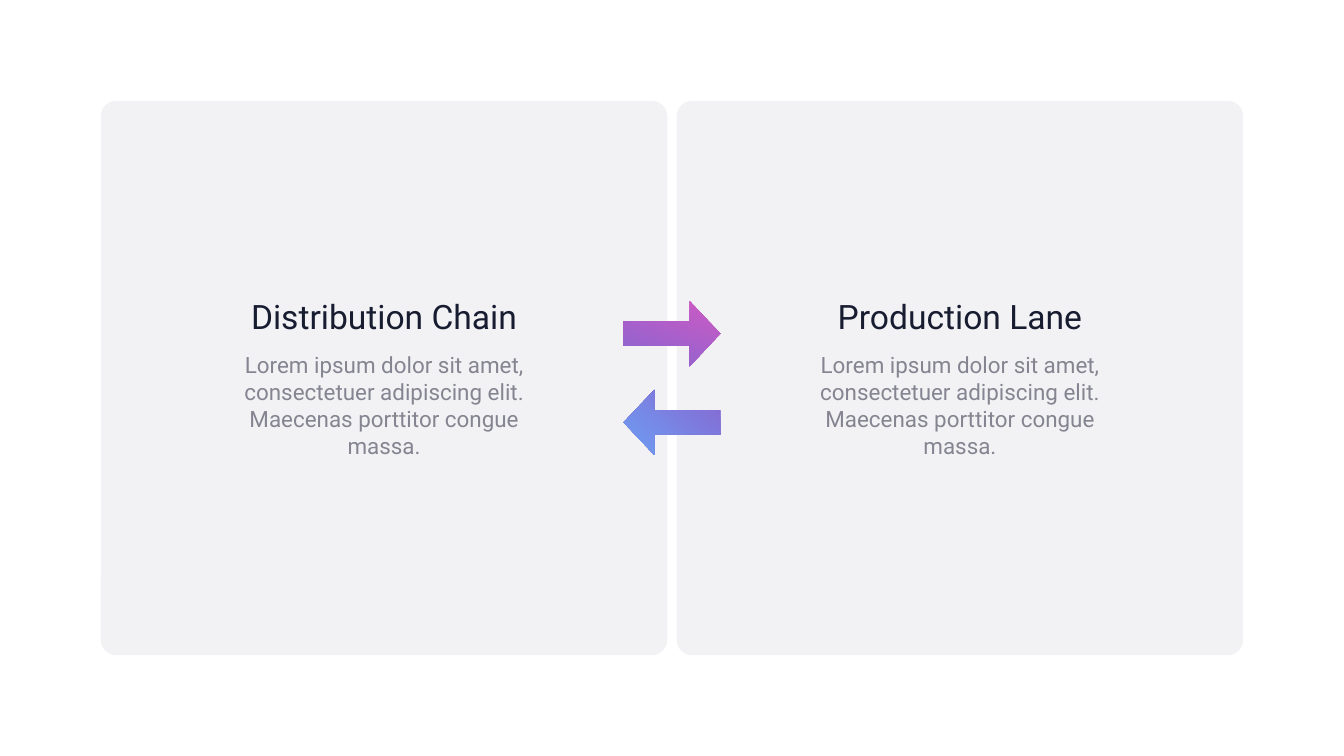
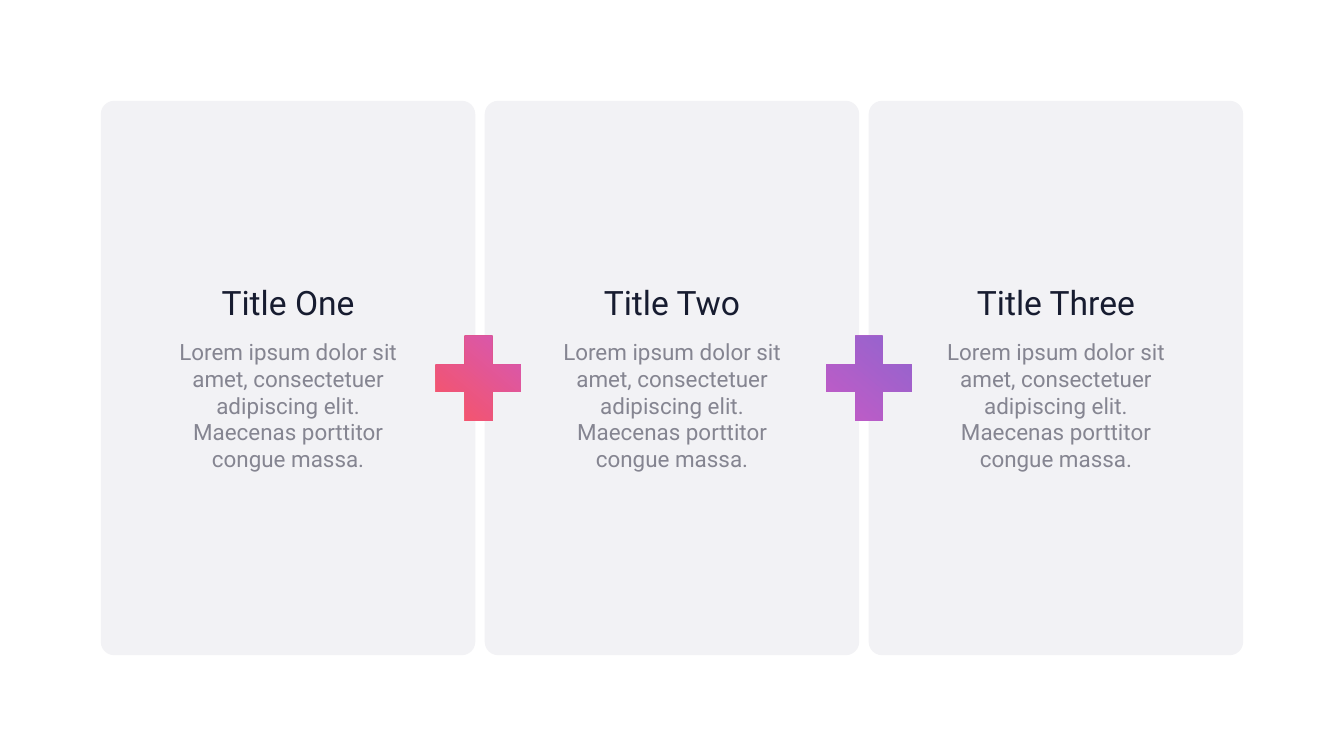
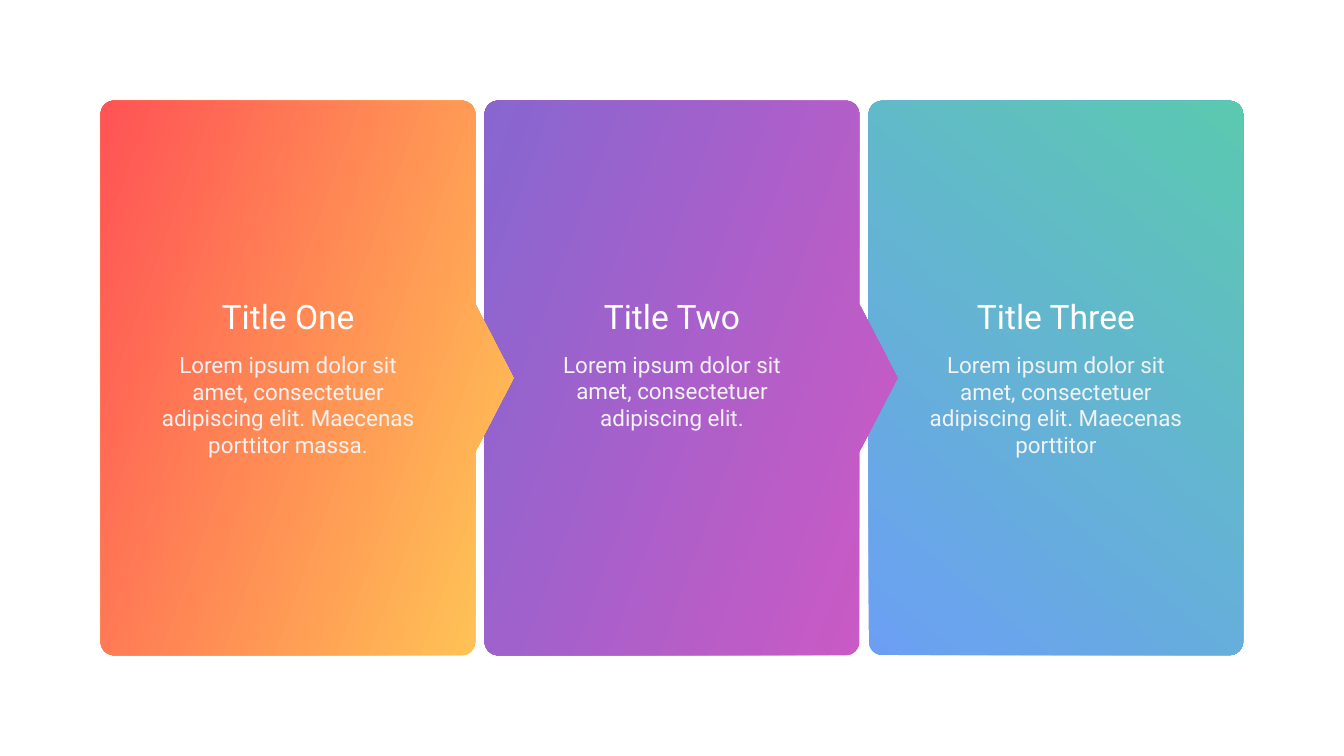
from dataclasses import dataclass
from math import cos, radians, sin

from pptx import Presentation
from pptx.dml.color import RGBColor
from pptx.enum.shapes import MSO_SHAPE
from pptx.enum.text import MSO_AUTO_SIZE, PP_ALIGN
from pptx.util import Inches, Pt

ROUND_RECT = MSO_SHAPE.ROUNDED_RECTANGLE
RIGHT_ARROW = MSO_SHAPE.RIGHT_ARROW
PLUS = MSO_SHAPE.MATH_PLUS
CENTER = PP_ALIGN.CENTER
GROW = MSO_AUTO_SIZE.SHAPE_TO_FIT_TEXT

MARGIN, GAP = 1.5, 0.14
SLIDE_W, SLIDE_H = 20, 11.25
CARD_H = SLIDE_H - 2 * MARGIN
MIDDLE = SLIDE_H / 2
RADIUS = 0.2
LOREM = "Lorem ipsum dolor sit amet, consectetuer adipiscing elit."
LOREM_LONG = LOREM + " Maecenas porttitor congue massa."
TITLES = ("Title One", "Title Two", "Title Three")


@dataclass(frozen=True)
class Theme:
    """Colours, font and type sizes."""
    font: str = "Roboto"
    title_size: int = 36
    body_size: int = 24
    card: str = "F2F2F5"
    ink: str = "171C30"
    grey: str = "858591"
    white: str = "FFFFFF"
    pale: str = "F2F2F2"
    red: str = "FF5355"
    yellow: str = "FFC955"
    pink: str = "CE59C4"
    violet: str = "8766D0"
    blue: str = "6C9FF4"
    green: str = "5BC9B0"


def card_columns(count):
    """Return the left edge and width of each card in a row."""
    width = (SLIDE_W - 2 * MARGIN - (count - 1) * GAP) / count
    return [(MARGIN + i * (width + GAP), width) for i in range(count)]


class Deck:
    """Draws elements on the current slide in one style."""

    def __init__(self, theme):
        """Start an empty presentation."""
        self.theme = theme
        self.prs = Presentation()
        self.prs.slide_width = Inches(SLIDE_W)
        self.prs.slide_height = Inches(SLIDE_H)
        self.s = None

    def slide(self):
        """Add a blank slide and make it current."""
        self.s = self.prs.slides.add_slide(self.prs.slide_layouts[6])

    def paint(self, sp, fill):
        """Fill with a colour, or with (start, end, clockwise angle)."""
        sp.shadow.inherit = False
        sp.line.fill.background()
        if isinstance(fill, str):
            sp.fill.solid()
            sp.fill.fore_color.rgb = RGBColor.from_string(fill)
            return
        start, end, angle = fill
        sp.fill.gradient()
        sp.fill.gradient_angle = 360 - angle
        for stop, color in zip(sp.fill.gradient_stops, (start, end)):
            stop.color.rgb = RGBColor.from_string(color)

    def shape(self, kind, x, y, w, h, fill, adjustments=(), rotation=0):
        """Add a filled preset shape."""
        sp = self.s.shapes.add_shape(kind, Inches(x), Inches(y), Inches(w), Inches(h))
        for i, value in enumerate(adjustments):
            sp.adjustments[i] = value
        sp.rotation = rotation
        self.paint(sp, fill)

    def card(self, x, w, fill, corner=0.036):
        """Add a full-height rounded card."""
        self.shape(ROUND_RECT, x, MARGIN, w, CARD_H, fill, (corner,))

    def pointer_card(self, x, w, fill):
        """Add a rounded card with a pointer on its right side."""
        right, bottom = x + w, MARGIN + CARD_H
        near, far = x + RADIUS, right - RADIUS
        top, low = MARGIN + RADIUS, bottom - RADIUS

        def corner(cx, cy, start):
            """Return the points of a quarter circle."""
            angles = [radians(start + 9 * i) for i in range(11)]
            return [(cx + RADIUS * cos(a), cy + RADIUS * sin(a)) for a in angles]

        pointer = [(right, MIDDLE - 1.1), (right + 0.57, MIDDLE), (right, MIDDLE + 1.1)]
        outline = (corner(near, top, 180) + corner(far, top, 270) + pointer
                   + corner(far, low, 0) + corner(near, low, 90))
        points = [(Inches(px), Inches(py)) for px, py in outline]
        builder = self.s.shapes.build_freeform(*points[0])
        builder.add_line_segments(points[1:], close=True)
        self.paint(builder.convert_to_shape(), fill)

    def text(self, text, center, y, w, h, size, color):
        """Add a centred text box around a vertical axis."""
        box = self.s.shapes.add_textbox(Inches(center - w / 2), Inches(y), Inches(w), Inches(h))
        tf = box.text_frame
        tf.word_wrap = True
        tf.auto_size = GROW
        p = tf.paragraphs[0]
        p.alignment = CENTER
        r = p.add_run()
        r.text = text
        r.font.name = self.theme.font
        r.font.size = Pt(size)
        r.font.color.rgb = RGBColor.from_string(color)

    def caption(self, column, title, body, lines, title_box, body_box, colors):
        """Add a title and body text, each box given as (top, width)."""
        x, w = column
        center = x + w / 2
        self.text(title, center, *title_box, 0.71, self.theme.title_size, colors[0])
        self.text(body, center, *body_box, 0.1 + 0.405 * lines, self.theme.body_size, colors[1])


def exchange_slide(deck):
    """Two cards with arrows both ways."""
    t = deck.theme
    deck.slide()
    for column, title in zip(card_columns(2), ("Distribution Chain", "Production Lane")):
        deck.card(*column, t.card, 0.028)
        deck.caption(column, title, LOREM_LONG, 4, (4.35, 4.58), (5.18, 4.58), (t.ink, t.grey))
    arrows = ((4.48, 0, (t.pink, t.violet, 110)), (5.8, 180, (t.violet, t.blue, 310)))
    for y, rotation, fill in arrows:
        deck.shape(RIGHT_ARROW, 9.28, y, 1.44, 0.97, fill, (0.378, 0.471), rotation)


def sum_slide(deck):
    """Three cards joined by plus signs."""
    t = deck.theme
    deck.slide()
    for column, title in zip(card_columns(3), TITLES):
        deck.card(*column, t.card)
        deck.caption(column, title, LOREM_LONG, 5, (4.15, 4.11), (4.98, 3.55), (t.ink, t.grey))
    for x, start, end in ((6.26, t.red, t.pink), (12.07, t.pink, t.violet)):
        deck.shape(PLUS, x, 4.77, 1.72, 1.72, (start, end, 310))


def process_slide(deck):
    """Three coloured cards, each pointing to the next."""
    t = deck.theme
    deck.slide()
    columns = card_columns(3)
    deck.card(*columns[2], (t.blue, t.green, 310))
    deck.pointer_card(*columns[1], (t.pink, t.violet, 200))
    deck.pointer_card(*columns[0], (t.yellow, t.red, 200))
    bodies = ((LOREM + " Maecenas porttitor massa.", 4), (LOREM, 3),
              (LOREM + " Maecenas porttitor", 4))
    for column, title, (body, lines) in zip(columns, TITLES, bodies):
        deck.caption(column, title, body, lines, (4.36, 4.58), (5.17, 4.03), (t.white, t.pale))


def main():
    """Build and save the slides."""
    deck = Deck(Theme())
    exchange_slide(deck)
    sum_slide(deck)
    process_slide(deck)
    deck.prs.save("out.pptx")


if __name__ == "__main__":
    main()
